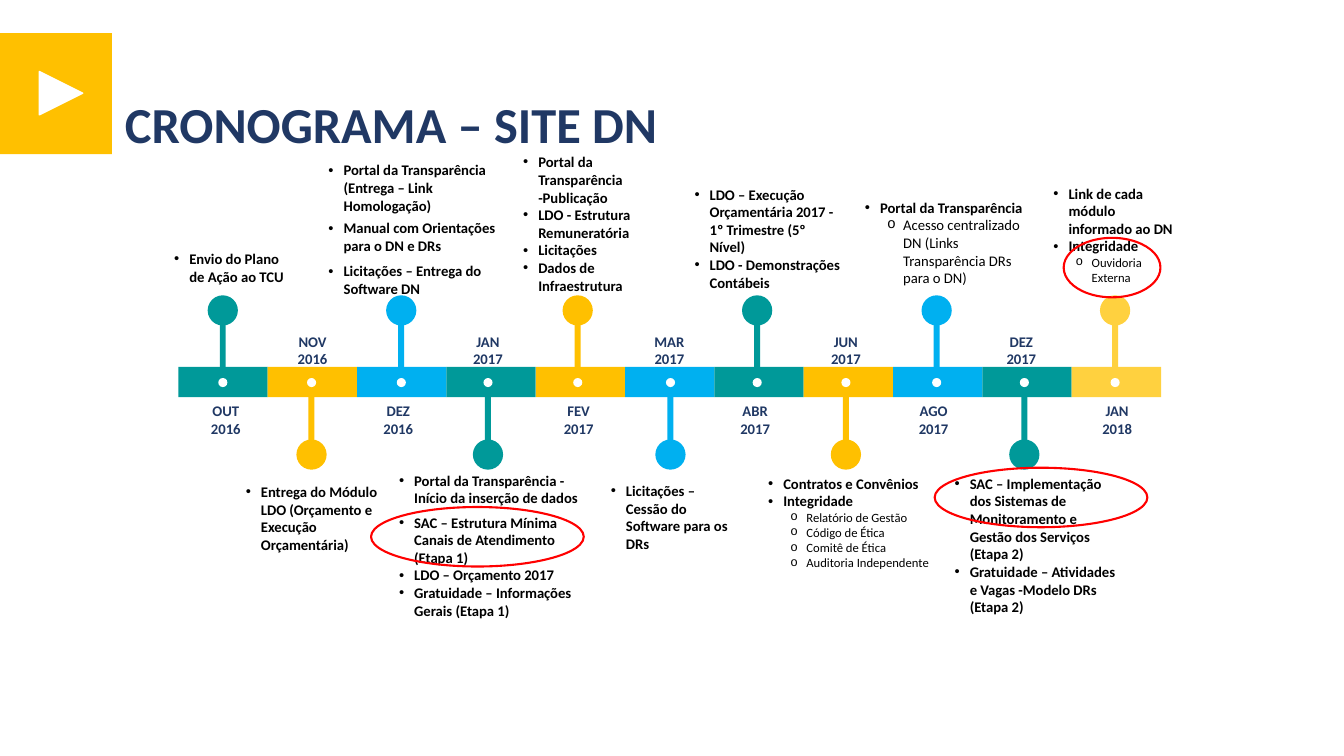
from lxml import etree
from pptx import Presentation
from pptx.dml.color import RGBColor
from pptx.enum.shapes import MSO_SHAPE
from pptx.enum.text import MSO_ANCHOR, PP_ALIGN
from pptx.oxml.ns import qn
from pptx.util import Inches, Pt

RECT = MSO_SHAPE.RECTANGLE
OVAL = MSO_SHAPE.OVAL
TRIANGLE = MSO_SHAPE.ISOSCELES_TRIANGLE
CENTER = PP_ALIGN.CENTER
MIDDLE = MSO_ANCHOR.MIDDLE

TEAL = RGBColor(0x00, 0x99, 0x99)
YELLOW = RGBColor(0xFF, 0xC0, 0x00)
BLUE = RGBColor(0x00, 0xB0, 0xF0)
PALE_YELLOW = RGBColor(0xFF, 0xD1, 0x3F)
NAVY = RGBColor(0x20, 0x38, 0x64)
RED = RGBColor(0xFF, 0x00, 0x00)
BLACK = RGBColor(0x00, 0x00, 0x00)
WHITE = RGBColor(0xFF, 0xFF, 0xFF)

FONT = "Calibri"
BAR_LEFT, BAR_TOP, BAR_STEP, BAR_HEIGHT = 1.77, 3.64, 0.886, 0.3
BALL, STEM_WIDTH, STEM_HEIGHT, DOT = 0.3, 0.06, 0.44, 0.09
LABEL_WIDTH, LABEL_HEIGHT = 1.06, 0.45

MAIN, PLAIN, SUB = "main", "plain", "sub"
STYLES = {
    MAIN: (0.15, -0.15, "•", "Arial", True),
    PLAIN: (0.15, 0, None, None, True),
    SUB: (0.38, -0.16, "o", "Courier New", False),
}

MONTHS = [
    ("OUT", "2016", 2.21, 2.24),
    ("NOV", "2016", 3.09, 3.1),
    ("DEZ", "2016", 3.98, 3.95),
    ("JAN", "2017", 4.84, 4.84),
    ("FEV", "2017", 5.73, 5.74),
    ("MAR", "2017", 6.65, 6.64),
    ("ABR", "2017", 7.51, 7.49),
    ("JUN", "2017", 8.39, 8.39),
    ("AGO", "2017", 9.29, 9.26),
    ("DEZ", "2017", 10.16, 10.13),
    ("JAN", "2018", 11.06, 11.08),
]

NOTES = [
    ((1.63, 2.43, 1.37, 0.49), [(MAIN, "Envio do Plano de Ação ao TCU", 10.5, 0)]),
    ((2.34, 4.74, 1.53, 0.88), [
        (MAIN, "Entrega do Módulo LDO (Orçamento e Execução Orçamentária)", 10.5, 0)]),
    ((3.16, 1.55, 1.93, 1.46), [
        (MAIN, "Portal da Transparência (Entrega – Link Homologação)", 10.5, 0),
        (MAIN, "Manual com Orientações para o DN e DRs", 10.5, 3.7),
        (MAIN, "Licitações – Entrega do Software DN", 10.5, 5.5)]),
    ((3.86, 4.63, 2, 1.58), [
        (MAIN, "Portal da Transparência - Início da inserção de dados", 10.5, 0),
        (MAIN, "SAC – Estrutura Mínima Canais de Atendimento (Etapa 1)", 10.5, 4.6),
        (MAIN, "LDO – Orçamento 2017", 10.5, 0),
        (MAIN, "Gratuidade – Informações Gerais (Etapa 1)", 10.5, 0)]),
    ((5.09, 1.47, 1.72, 1.51), [
        (MAIN, "Portal da Transparência -Publicação", 10.5, 0),
        (MAIN, "LDO - Estrutura Remuneratória", 10.5, 0),
        (MAIN, "Licitações", 10.5, 0),
        (MAIN, "Dados de Infraestrutura", 10.5, 0)]),
    ((5.96, 4.73, 1.44, 0.8), [
        (MAIN, "Licitações – Cessão do Software para os DRs", 10.5, 0)]),
    ((6.79, 1.79, 1.66, 1.41), [
        (MAIN, "LDO – Execução Orçamentária 2017 -", 10.5, 0),
        (PLAIN, "1º Trimestre (5º Nível)", 10.5, 0),
        (MAIN, "LDO - Demonstrações Contábeis", 10.5, 0)]),
    ((7.52, 4.66, 1.92, 1.06), [
        (MAIN, "Contratos e Convênios", 10.5, 0),
        (MAIN, "Integridade", 10.5, 0),
        (SUB, "Relatório de Gestão", 9, 0),
        (SUB, "Código de Ética", 9, 0),
        (SUB, "Comitê de Ética", 9, 0),
        (SUB, "Auditoria Independente", 9, 0)]),
    ((8.48, 1.92, 1.84, 0.98), [
        (MAIN, "Portal da Transparência", 10.5, 0),
        (SUB, "Acesso centralizado DN (Links Transparência DRs para o DN)", 10.5, 0)]),
    ((9.37, 4.66, 1.84, 1.51), [
        (MAIN, "SAC – Implementação dos Sistemas de Monitoramento e Gestão dos Serviços "
               "(Etapa 2)", 10.5, 0),
        (MAIN, "Gratuidade – Atividades e Vagas -Modelo DRs (Etapa 2)", 10.5, 0)]),
    ((10.35, 1.78, 1.4, 1.11), [
        (MAIN, "Link de cada módulo informado ao DN", 10.5, 0),
        (MAIN, "Integridade", 10.5, 0),
        (SUB, "Ouvidoria Externa", 9, 0)]),
]

HIGHLIGHTS = [(3.68, 5.03, 2.11, 0.59), (9.27, 4.64, 2.11, 0.59), (10.55, 2.36, 0.96, 0.59)]


def add_solid(s, kind, box, color):
    sp = s.shapes.add_shape(kind, *map(Inches, box))
    sp.shadow.inherit = False
    sp.fill.solid()
    sp.fill.fore_color.rgb = color
    sp.line.fill.background()
    return sp


def add_highlight(s, box):
    sp = s.shapes.add_shape(OVAL, *map(Inches, box))
    sp.shadow.inherit = False
    sp.fill.background()
    sp.line.color.rgb = RED
    sp.line.width = Pt(1.5)


def add_text(s, box, lines):
    tf = s.shapes.add_textbox(*map(Inches, box)).text_frame
    tf.word_wrap = True
    tf.text = "\n".join(lines)
    return tf


def set_font(p, size, color, bold=True):
    for r in p.runs:
        r.font.name = FONT
        r.font.size = Pt(size)
        r.font.bold = bold
        r.font.color.rgb = color


def set_bullet(p, margin, indent, char, typeface):
    pPr = p._p.get_or_add_pPr()
    pPr.set("marL", str(Inches(margin)))
    pPr.set("indent", str(Inches(indent)))
    if char:
        etree.SubElement(pPr, qn("a:buFont"), typeface=typeface)
        etree.SubElement(pPr, qn("a:buChar"), char=char)


def add_note(s, box, items):
    tf = add_text(s, box, [text for _, text, _, _ in items])
    for p, (style, _, size, gap) in zip(tf.paragraphs, items):
        margin, indent, char, typeface, bold = STYLES[style]
        set_bullet(p, margin, indent, char, typeface)
        if gap:
            p.space_before = Pt(gap)
        set_font(p, size, BLACK, bold)


def add_month(s, i, month, year, center, label_center):
    color = PALE_YELLOW if i == len(MONTHS) - 1 else (TEAL, YELLOW, BLUE)[i % 3]
    stem_top, ball_top, label_top = (3.94, 4.36, 3.25) if i % 2 else (3.21, 2.93, 3.94)
    add_solid(s, RECT, (BAR_LEFT + i * BAR_STEP, BAR_TOP, BAR_STEP, BAR_HEIGHT), color)
    add_solid(s, RECT, (center - STEM_WIDTH / 2, stem_top, STEM_WIDTH, STEM_HEIGHT), color)
    add_solid(s, OVAL, (center - BALL / 2, ball_top, BALL, BALL), color)
    add_solid(s, OVAL, (center - DOT / 2, 3.75, DOT, DOT), WHITE)
    box = (label_center - LABEL_WIDTH / 2, label_top, LABEL_WIDTH, LABEL_HEIGHT)
    for p in add_text(s, box, [month, year]).paragraphs:
        p.alignment = CENTER
        set_font(p, 10.5, NAVY)


def add_title(s):
    add_solid(s, RECT, (0, 0.33, 1.11, 1.2), YELLOW)
    sp = add_solid(s, TRIANGLE, (0.39, 0.71, 0.43, 0.43), WHITE)
    sp.rotation = 90
    sp.line.color.rgb = WHITE
    sp.line.width = Pt(1)
    tf = add_text(s, (1.14, 0.98, 5.88, 0.57), ["CRONOGRAMA – SITE DN"])
    tf.vertical_anchor = MIDDLE
    p = tf.paragraphs[0]
    p.line_spacing = 0.9
    set_font(p, 36, NAVY)


def main():
    prs = Presentation()
    prs.slide_width, prs.slide_height = Inches(13.33), Inches(7.5)
    s = prs.slides.add_slide(prs.slide_layouts[6])
    add_title(s)
    for i, month in enumerate(MONTHS):
        add_month(s, i, *month)
    for box, items in NOTES:
        add_note(s, box, items)
    for box in HIGHLIGHTS:
        add_highlight(s, box)
    prs.save("out.pptx")


if __name__ == "__main__":
    main()
